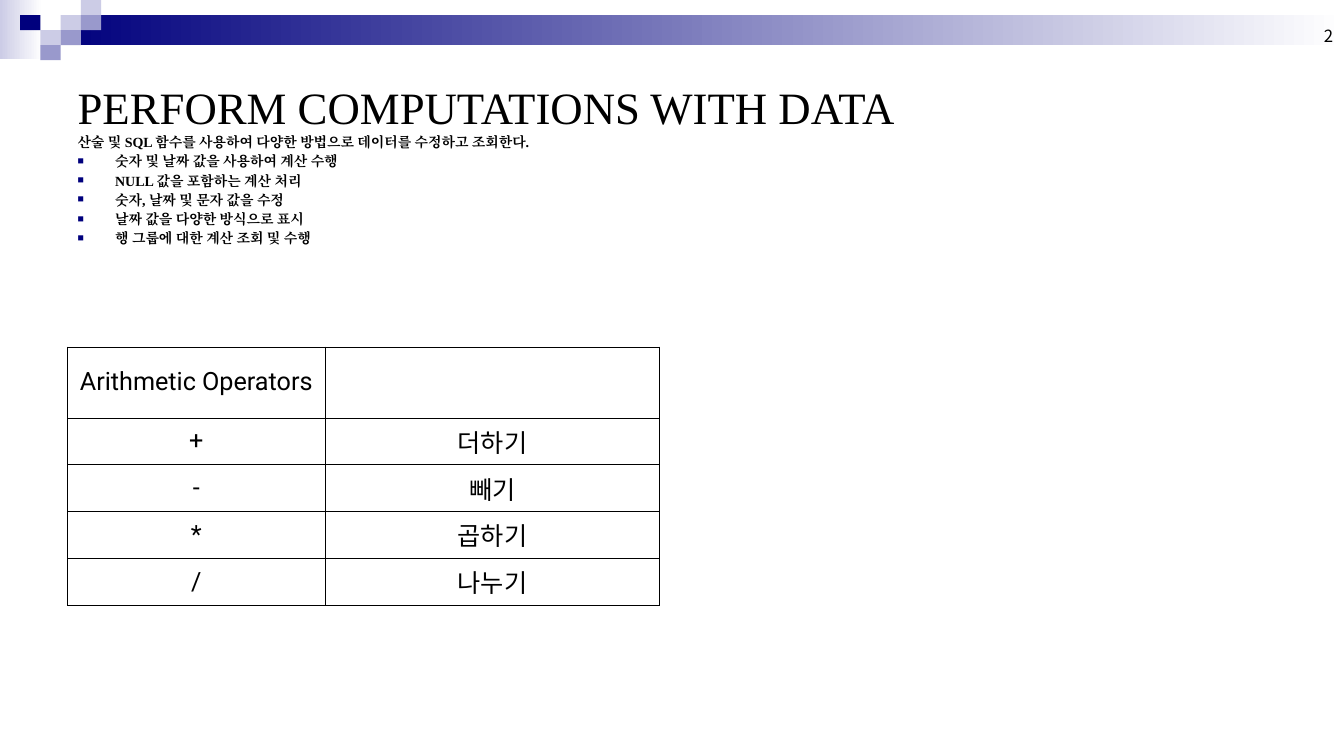
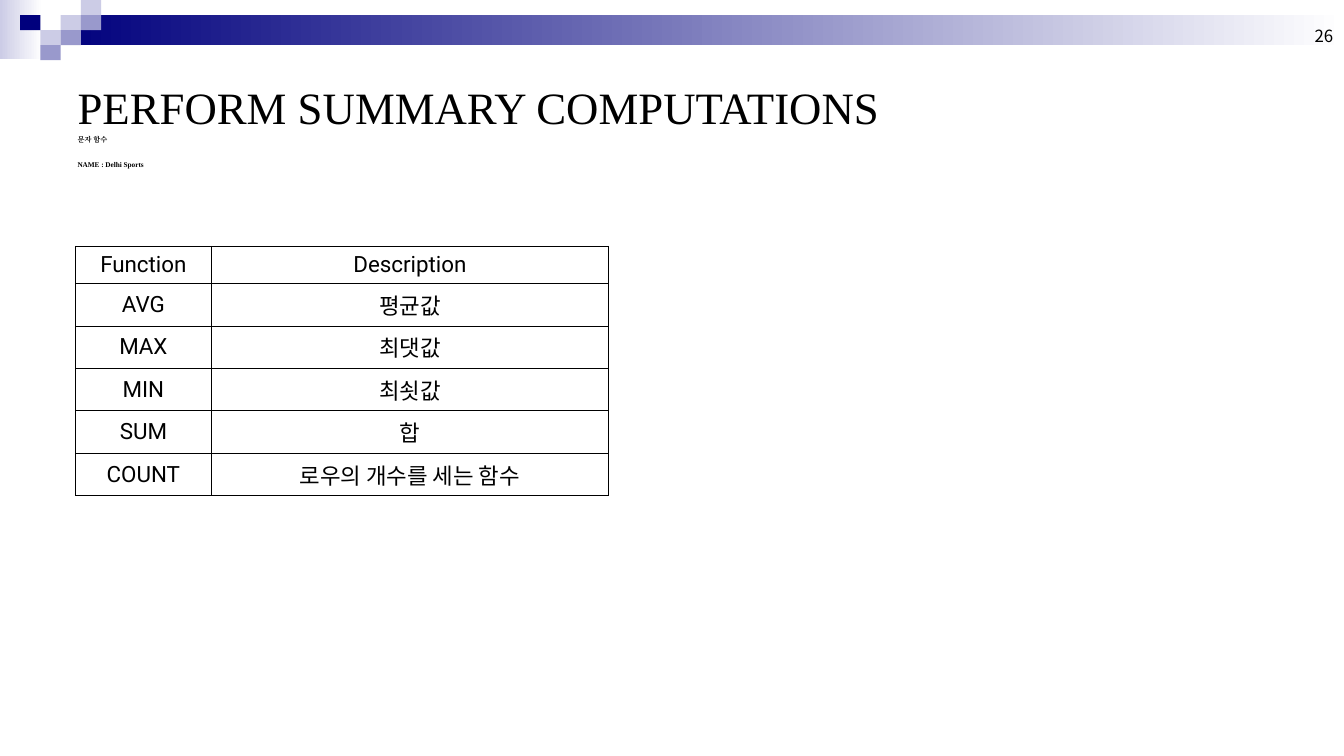
from lxml.etree import SubElement
from pptx import Presentation
from pptx.dml.color import RGBColor
from pptx.enum.shapes import MSO_SHAPE
from pptx.enum.text import MSO_ANCHOR, MSO_AUTO_SIZE, PP_ALIGN
from pptx.oxml.ns import qn
from pptx.util import Cm, Pt

RECTANGLE = MSO_SHAPE.RECTANGLE
MIDDLE, BOTTOM = MSO_ANCHOR.MIDDLE, MSO_ANCHOR.BOTTOM
LEFT, CENTER, RIGHT = PP_ALIGN.LEFT, PP_ALIGN.CENTER, PP_ALIGN.RIGHT
NO_AUTOFIT = MSO_AUTO_SIZE.NONE

NAVY = RGBColor(0x00, 0x00, 0x7D)
LAVENDER = RGBColor(0xCC, 0xCC, 0xE6)
PERIWINKLE = RGBColor(0x99, 0x99, 0xCC)
WHITE = RGBColor(0xFF, 0xFF, 0xFF)
BLACK = RGBColor(0x00, 0x00, 0x00)

SERIF, SANS, KOREAN = "Times New Roman", "Roboto", "Noto Sans CJK KR"

SLIDE_WIDTH, SLIDE_HEIGHT = Cm(33.88), Cm(19.05)
TILE_WIDTH, TILE_HEIGHT = Cm(0.51), Cm(0.38)
TILES = [
    (3, 1, LAVENDER), (4, 0, LAVENDER), (4, 1, PERIWINKLE), (2, 2, LAVENDER),
    (1, 1, NAVY), (3, 2, PERIWINKLE), (2, 3, PERIWINKLE),
]
TITLE_BOX = (Cm(1.7), Cm(1.27), Cm(30.48), Cm(2.84))
NUMBER_BOX = (Cm(25.96), Cm(0), Cm(7.9), Cm(1.27))
HANGING = Cm(0.95)

SLIDES = [
    {
        "number": "2",
        "title": "PERFORM COMPUTATIONS WITH DATA",
        "intro": {
            "box": (Cm(1.7), Cm(3.33), Cm(26.04), Cm(3.43)),
            "size": Pt(10),
            "gap": Pt(4),
            "lines": [
                ("산술 및 SQL 함수를 사용하여 다양한 방법으로 데이터를 수정하고 조회한다.", False),
                ("숫자 및 날짜 값을 사용하여 계산 수행", True),
                ("NULL 값을 포함하는 계산 처리", True),
                ("숫자, 날짜 및 문자 값을 수정", True),
                ("날짜 값을 다양한 방식으로 표시", True),
                ("행 그룹에 대한 계산 조회 및 수행", True),
            ],
        },
        "grid": {
            "corner": (Cm(1.7), Cm(8.74)),
            "widths": (Cm(6.5), Cm(8.43)),
            "header_height": Cm(1.79),
            "row_height": Cm(1.18),
            "size": Pt(18),
            "rows": [
                ("Arithmetic Operators", ""), ("+", "더하기"), ("-", "빼기"),
                ("*", "곱하기"), ("/", "나누기"),
            ],
        },
    },
    {
        "number": "26",
        "title": "PERFORM SUMMARY COMPUTATIONS",
        "intro": {
            "box": (Cm(1.7), Cm(3.33), Cm(30.48), Cm(1.14)),
            "size": Pt(5.2),
            "gap": Pt(13),
            "lines": [("문자 함수", False), ("NAME : Delhi Sports", False)],
        },
        "grid": {
            "corner": (Cm(1.9), Cm(6.2)),
            "widths": (Cm(3.43), Cm(10.01)),
            "header_height": Cm(0.94),
            "row_height": Cm(1.07),
            "size": Pt(16),
            "rows": [
                ("Function", "Description"), ("AVG", "평균값"), ("MAX", "최댓값"),
                ("MIN", "최쇳값"), ("SUM", "합"), ("COUNT", "로우의 개수를 세는 함수"),
            ],
        },
    },
]


def style_runs(paragraph, size, latin, east_asian, bold=False):
    """Give every run of a paragraph its size, fonts, colour and weight."""
    for run in paragraph.runs:
        run.font.size, run.font.bold = size, bold
        run.font.color.rgb = BLACK
        run.font.name = latin
        SubElement(run.font._element, qn("a:ea"), typeface=east_asian)


def place(shape, box):
    """Move a shape to a box of left, top, width and height."""
    shape.left, shape.top, shape.width, shape.height = box


def add_block(slide, box, color, fade=False):
    """Draw a borderless rectangle, plain or fading to white."""
    block = slide.shapes.add_shape(RECTANGLE, *box)
    block.shadow.inherit = False
    block.line.fill.background()
    if fade:
        block.fill.gradient()
        block.fill.gradient_angle = 0
        for stop, shade in zip(block.fill.gradient_stops, (color, WHITE)):
            stop.color.rgb = shade
    else:
        block.fill.solid()
        block.fill.fore_color.rgb = color
    return block


def decorate_layout(layout, slide):
    """Build the header band and tiles and hand them to the layout."""
    band_left = 3 * TILE_WIDTH
    blocks = [
        add_block(slide, (0, 0, Cm(1.07), Cm(1.48)), LAVENDER, fade=True),
        add_block(slide, (band_left, TILE_HEIGHT, SLIDE_WIDTH - band_left, 2 * TILE_HEIGHT),
                  NAVY, fade=True),
    ]
    for column, row, color in TILES:
        box = (column * TILE_WIDTH, row * TILE_HEIGHT, TILE_WIDTH, TILE_HEIGHT)
        blocks.append(add_block(slide, box, color))
    for index, block in enumerate(blocks):
        block.element.nvSpPr.cNvPr.set("id", str(20 + index))
        layout.shapes.element.insert(2 + index, block.element)


def add_number(slide, box, number):
    """Write the page number at the right end of the band."""
    page = slide.shapes.add_textbox(*box)
    frame = page.text_frame
    frame.word_wrap = True
    frame.vertical_anchor = BOTTOM
    frame.text = number
    frame.paragraphs[0].alignment = RIGHT
    style_runs(frame.paragraphs[0], Pt(12), KOREAN, KOREAN)


def fill_title(slide, box, text):
    """Place and format the slide title."""
    title = slide.shapes.title
    place(title, box)
    frame = title.text_frame
    frame.auto_size = NO_AUTOFIT
    frame.vertical_anchor = MIDDLE
    frame.text = text
    frame.paragraphs[0].alignment = LEFT
    style_runs(frame.paragraphs[0], Pt(32), SERIF, SERIF)


def set_bullet(paragraph, bulleted):
    """Give a paragraph a hanging indent with or without a square bullet."""
    properties = paragraph._p.get_or_add_pPr()
    properties.set("marL", str(HANGING))
    properties.set("indent", str(-HANGING))
    if bulleted:
        color = SubElement(properties, qn("a:buClr"))
        SubElement(color, qn("a:srgbClr"), val=str(NAVY))
        SubElement(properties, qn("a:buSzPct"), val="75000")
        SubElement(properties, qn("a:buChar"), char="■")
    else:
        SubElement(properties, qn("a:buNone"))


def fill_intro(slide, box, size, gap, lines):
    """Fill the body placeholder with the introductory lines."""
    body = slide.placeholders[1]
    place(body, box)
    frame = body.text_frame
    frame.auto_size = NO_AUTOFIT
    frame.text = "\n".join(text for text, _ in lines)
    for index, (paragraph, (_, bulleted)) in enumerate(zip(frame.paragraphs, lines)):
        paragraph.line_spacing = 0.8
        paragraph.space_before = gap if index else Pt(0)
        set_bullet(paragraph, bulleted)
        style_runs(paragraph, size, SERIF, SERIF, bold=True)


def format_cell(cell, text, size):
    """Write one centred table cell with thin black borders."""
    cell.text = text
    cell.vertical_anchor = MIDDLE
    cell.text_frame.paragraphs[0].alignment = CENTER
    style_runs(cell.text_frame.paragraphs[0], size, SANS, KOREAN)
    properties = cell._tc.get_or_add_tcPr()
    for side in ("lnL", "lnR", "lnT", "lnB"):
        border = SubElement(properties, qn(f"a:{side}"), w=str(Pt(0.45)))
        fill = SubElement(border, qn("a:solidFill"))
        SubElement(fill, qn("a:srgbClr"), val=str(BLACK))
    cell.fill.background()


def add_grid(slide, corner, widths, header_height, row_height, size, rows):
    """Add a ruled two-column table at a corner."""
    heights = [header_height] + [row_height] * (len(rows) - 1)
    table = slide.shapes.add_table(
        len(rows), len(widths), *corner, sum(widths), sum(heights)).table
    table.first_row = table.horz_banding = False
    for column, width in zip(table.columns, widths):
        column.width = width
    for row, height, texts in zip(table.rows, heights, rows):
        row.height = height
        for cell, text in zip(row.cells, texts):
            format_cell(cell, text, size)


def main():
    """Build and save the presentation."""
    deck = Presentation()
    deck.slide_width, deck.slide_height = SLIDE_WIDTH, SLIDE_HEIGHT
    layout = deck.slide_layouts[1]
    for index, content in enumerate(SLIDES):
        slide = deck.slides.add_slide(layout)
        if index == 0:
            decorate_layout(layout, slide)
        add_number(slide, NUMBER_BOX, content["number"])
        fill_title(slide, TITLE_BOX, content["title"])
        fill_intro(slide, **content["intro"])
        add_grid(slide, **content["grid"])
    deck.save("out.pptx")


if __name__ == "__main__":
    main()
